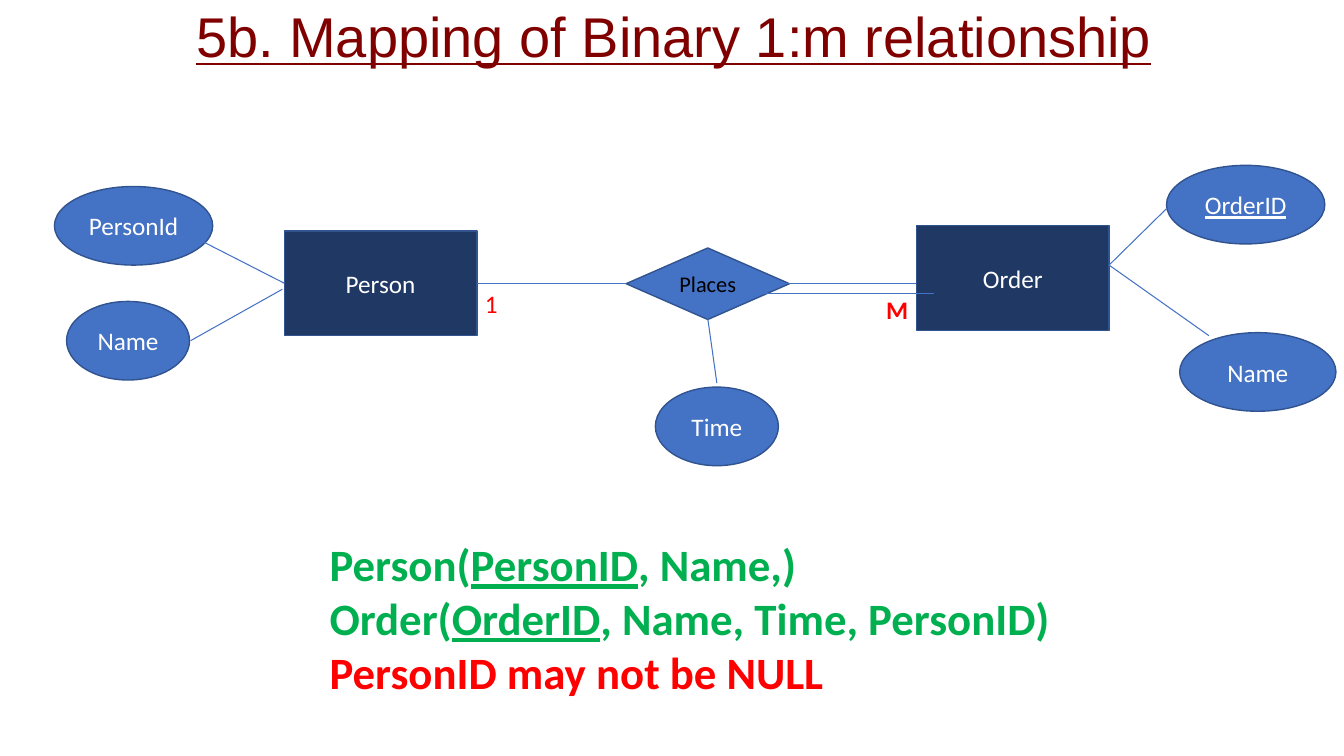
from dataclasses import dataclass

from lxml import etree
from pptx import Presentation
from pptx.dml.color import RGBColor
from pptx.enum.shapes import MSO_CONNECTOR, MSO_SHAPE
from pptx.enum.text import MSO_ANCHOR, MSO_AUTO_SIZE, PP_ALIGN
from pptx.oxml.ns import qn
from pptx.util import Inches, Pt

RECTANGLE, ELLIPSE, DIAMOND = MSO_SHAPE.RECTANGLE, MSO_SHAPE.OVAL, MSO_SHAPE.DIAMOND
STRAIGHT = MSO_CONNECTOR.STRAIGHT
CENTER, MIDDLE = PP_ALIGN.CENTER, MSO_ANCHOR.MIDDLE
NO_FIT, GROW = MSO_AUTO_SIZE.NONE, MSO_AUTO_SIZE.SHAPE_TO_FIT_TEXT
TITLE_ONLY = 5

# Grid of square cells: 133.3 columns by 75 rows
CELL = Inches(0.1)
COLUMNS, ROWS = 133.3, 75


@dataclass(frozen=True)
class Theme:
    title_font: str = "Arial"
    body_font: str = "Calibri"
    title_size: int = 40
    schema_size: int = 32
    label_size: int = 18
    relation_size: int = 16
    maroon: str = "800000"
    navy: str = "1F3864"
    blue: str = "4472C4"
    outline: str = "31538F"
    green: str = "00B050"
    red: str = "FF0000"
    white: str = "FFFFFF"
    black: str = "000000"


def cells(*counts):
    return [round(count * CELL) for count in counts]


class Diagram:
    def __init__(self, page, theme):
        self.page, self.theme = page, theme

    def style(self, span, color, size, font=None, bold=False, underline=False):
        span.font.name = font or self.theme.body_font
        span.font.size = Pt(size)
        span.font.color.rgb = RGBColor.from_string(color)
        span.font.bold, span.font.underline = bold, underline

    def title(self, text, left, top, width, height):
        box = self.page.shapes.title
        box.left, box.top, box.width, box.height = cells(left, top, width, height)
        frame = box.text_frame
        frame.text = text
        frame.auto_size, frame.vertical_anchor = NO_FIT, MIDDLE
        para = frame.paragraphs[0]
        para.alignment, para.line_spacing = CENTER, 0.9
        self.style(para.runs[0], self.theme.maroon, self.theme.title_size,
                   self.theme.title_font, underline=True)

    def node(self, kind, text, left, top, width, height, fill=None,
             color=None, size=None, key=False):
        shape = self.page.shapes.add_shape(kind, *cells(left, top, width, height))
        shape.shadow.inherit = False
        shape.fill.solid()
        shape.fill.fore_color.rgb = RGBColor.from_string(fill or self.theme.blue)
        shape.line.color.rgb = RGBColor.from_string(self.theme.outline)
        shape.line.width = Pt(1)
        frame = shape.text_frame
        frame.text = text
        frame.vertical_anchor = MIDDLE
        para = frame.paragraphs[0]
        para.alignment = CENTER
        self.style(para.runs[0], color or self.theme.white,
                   size or self.theme.label_size, underline=key)

    def link(self, *ends):
        line = self.page.shapes.add_connector(STRAIGHT, *cells(*ends))
        line.line.color.rgb = RGBColor.from_string(self.theme.blue)
        line.line.width = Pt(0.75)
        etree.SubElement(line._element.spPr, qn("a:effectLst"))

    def text(self, lines, left, top, width, height, size, bold=False):
        """Each line is a colour and its spans; every second span is underlined."""
        box = self.page.shapes.add_textbox(*cells(left, top, width, height))
        frame = box.text_frame
        frame.word_wrap, frame.auto_size = True, GROW
        for index, (color, *spans) in enumerate(lines):
            para = frame.add_paragraph() if index else frame.paragraphs[0]
            for position, words in enumerate(spans):
                span = para.add_run()
                span.text = words
                self.style(span, color, size, bold=bold, underline=position % 2 == 1)


def main():
    deck = Presentation()
    deck.slide_width, deck.slide_height = cells(COLUMNS, ROWS)
    page = deck.slides.add_slide(deck.slide_layouts[TITLE_ONLY])
    theme = Theme()
    diagram = Diagram(page, theme)

    diagram.title("5b. Mapping of Binary 1:m relationship", -0.3, 0.9, 134.2, 6.1)

    # Relational schema
    diagram.text([
        (theme.green, "Person(", "PersonID", ", Name,)"),
        (theme.green, "Order(", "OrderID", ", Name, Time, PersonID)"),
        (theme.red, "PersonID may not be NULL"),
    ], 31.7, 52.8, 85.3, 17.2, theme.schema_size, bold=True)

    # Entities and their relationship
    for name, left, top in (("Person", 28.2, 22.9), ("Order", 90.9, 22.4)):
        diagram.node(RECTANGLE, name, left, top, 19.1, 10.4, fill=theme.navy)
    diagram.node(DIAMOND, "Places", 62.1, 24.6, 16.2, 7.1,
                 color=theme.black, size=theme.relation_size)

    # Attributes
    for name, left, top, width, key in (
        ("PersonId", 5.4, 18.5, 15.7, False),
        ("Name", 6.6, 29.9, 12.2, False),
        ("OrderID", 115.7, 16.4, 15.7, True),
        ("Name", 117, 33, 15.5, False),
        ("Time", 65, 38.4, 12.2, False),
    ):
        diagram.node(ELLIPSE, name, left, top, width, 7.8, key=key)

    # Relationship lines, doubled on the Order side, then attribute lines
    for ends in (
        (47.3, 28.1, 62.1, 28.1),
        (72.9, 28.1, 90.9, 28.1),
        (74.6, 29.1, 92.6, 29.1),
        (28.2, 28.1, 19.2, 23.5),
        (28, 28.7, 18.9, 33.8),
        (70.2, 31.6, 71.1, 38),
        (110, 26.3, 115.7, 20.7),
        (110, 26.3, 119.9, 33.3),
    ):
        diagram.link(*ends)

    # Cardinalities
    for mark, left, top, bold in (("1", 47.1, 28.1, False), ("M", 86.9, 28.7, True)):
        diagram.text([(theme.red, mark)], left, top, 4.8, 4, theme.label_size, bold)

    deck.save("out.pptx")


if __name__ == "__main__":
    main()
